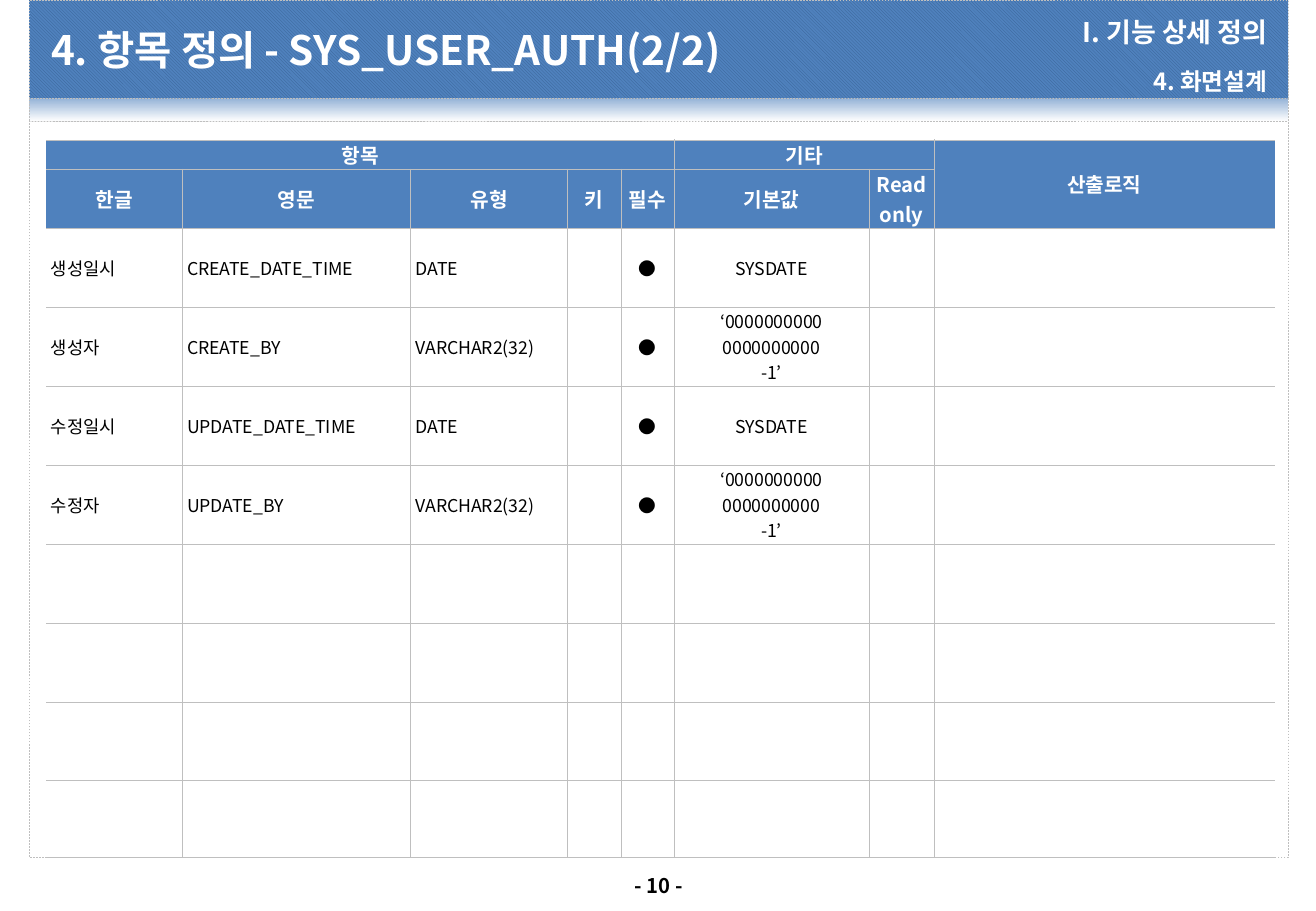
from dataclasses import dataclass

from lxml.etree import SubElement
from pptx import Presentation
from pptx.dml.color import RGBColor
from pptx.enum.dml import MSO_LINE, MSO_PATTERN
from pptx.enum.shapes import MSO_SHAPE
from pptx.enum.text import MSO_ANCHOR, PP_ALIGN
from pptx.oxml.ns import qn
from pptx.shapes.autoshape import Shape
from pptx.slide import Slide
from pptx.table import _Cell
from pptx.text.text import TextFrame
from pptx.util import Emu, Pt

EMU_PER_PX = 9144
FONT = "Noto Sans CJK KR"
WHITE = RGBColor(0xFF, 0xFF, 0xFF)
BLACK = RGBColor(0, 0, 0)
BLUE = RGBColor(0x4F, 0x81, 0xBD)
DARK_BLUE = RGBColor(0x37, 0x60, 0x92)
LIGHT_BLUE = RGBColor(0x95, 0xB3, 0xD7)
GRAY = RGBColor(0xBF, 0xBF, 0xBF)
BORDER_WIDTH = Pt(0.25)

COLUMN_WIDTHS = [112, 188, 129, 44, 44, 160, 54, 280]
ROW_HEIGHTS = [24, 49] + [65] * 6 + [64] * 2
HEADER_ROWS = 2
CENTERED_COLUMNS = (4, 5)
ZERO_ID = "‘0000000000\n0000000000\n-1’"
TABLE_ROWS = [
    ["항목", "", "", "", "", "기타", "", "산출로직"],
    ["한글", "영문", "유형", "키", "필수", "기본값", "Read only", ""],
    ["생성일시", "CREATE_DATE_TIME", "DATE", "", "●", "SYSDATE", "", ""],
    ["생성자", "CREATE_BY", "VARCHAR2(32)", "", "●", ZERO_ID, "", ""],
    ["수정일시", "UPDATE_DATE_TIME", "DATE", "", "●", "SYSDATE", "", ""],
    ["수정자", "UPDATE_BY", "VARCHAR2(32)", "", "●", ZERO_ID, "", ""],
] + [[""] * 8] * 4
MERGES = [((0, 0), (0, 4)), ((0, 5), (0, 6)), ((0, 7), (1, 7))]


@dataclass(frozen=True)
class Box:
    left: int
    top: int
    width: int
    height: int

    def emu(self) -> list[Emu]:
        return [px(value) for value in (self.left, self.top, self.width, self.height)]


@dataclass(frozen=True)
class TextStyle:
    size: float
    color: RGBColor
    bold: bool = True
    align: PP_ALIGN = PP_ALIGN.LEFT
    line_spacing: float | None = None


@dataclass(frozen=True)
class Label:
    text: str
    box: Box
    style: TextStyle
    wrap: bool = True


LABELS = [
    Label("- 10 -", Box(508, 714, 68, 30), TextStyle(12, BLACK, align=PP_ALIGN.CENTER), False),
    Label("I. 기능 상세 정의", Box(707, 8, 340, 37), TextStyle(16, WHITE, align=PP_ALIGN.RIGHT)),
    Label("4. 항목 정의 - SYS_USER_AUTH(2/2)", Box(38, 8, 669, 66), TextStyle(24, WHITE)),
    Label("4. 화면설계", Box(707, 47, 340, 27),
          TextStyle(14, WHITE, align=PP_ALIGN.RIGHT, line_spacing=1.5)),
]


def px(value: int) -> Emu:
    return Emu(value * EMU_PER_PX)


def write_text(frame: TextFrame, text: str, style: TextStyle) -> None:
    frame.text = text
    for paragraph in frame.paragraphs:
        paragraph.alignment = style.align
        if style.line_spacing:
            paragraph.line_spacing = style.line_spacing
        font = paragraph.font
        font.size = Pt(style.size)
        font.bold = style.bold
        font.color.rgb = style.color
        font.name = FONT
        properties = paragraph._p.get_or_add_pPr().get_or_add_defRPr()
        SubElement(properties, qn("a:ea")).set("typeface", FONT)


def add_panel(slide: Slide, box: Box) -> Shape:
    shape = slide.shapes.add_shape(MSO_SHAPE.RECTANGLE, *box.emu())
    shape.shadow.inherit = False
    shape.line.color.rgb = GRAY
    shape.line.width = BORDER_WIDTH
    shape.line.dash_style = MSO_LINE.DASH
    return shape


def add_panels(slide: Slide) -> None:
    fade = add_panel(slide, Box(24, 81, 1036, 19))
    fade.fill.gradient()
    fade.fill.gradient_angle = 270
    for stop, color, position in zip(fade.fill.gradient_stops, (LIGHT_BLUE, WHITE), (0, 1)):
        stop.color.rgb = color
        stop.position = position

    body = add_panel(slide, Box(24, 100, 1036, 606))
    body.fill.solid()
    body.fill.fore_color.rgb = WHITE

    banner = add_panel(slide, Box(24, 0, 1036, 81))
    banner.rotation = 180
    banner.fill.patterned()
    banner.fill.pattern = MSO_PATTERN.LIGHT_DOWNWARD_DIAGONAL
    banner.fill.fore_color.rgb = DARK_BLUE
    banner.fill.back_color.rgb = BLUE


def add_label(slide: Slide, label: Label) -> None:
    frame = slide.shapes.add_textbox(*label.box.emu()).text_frame
    frame.word_wrap = label.wrap
    frame.vertical_anchor = MSO_ANCHOR.MIDDLE
    frame.margin_left = frame.margin_right = px(4)
    frame.margin_top = frame.margin_bottom = px(4)
    write_text(frame, label.text, label.style)


def set_borders(cell: _Cell, hidden_side: str | None) -> None:
    properties = cell._tc.get_or_add_tcPr()
    for side in ("lnL", "lnR", "lnT", "lnB"):
        line = SubElement(properties, qn(f"a:{side}"), w=str(BORDER_WIDTH))
        if side == hidden_side:
            SubElement(line, qn("a:noFill"))
        else:
            fill = SubElement(line, qn("a:solidFill"))
            SubElement(fill, qn("a:srgbClr"), val=str(GRAY))


def add_item_table(slide: Slide) -> None:
    box = Box(38, 115, sum(COLUMN_WIDTHS), sum(ROW_HEIGHTS))
    table = slide.shapes.add_table(len(ROW_HEIGHTS), len(COLUMN_WIDTHS), *box.emu()).table
    table.first_row = table.horz_banding = False
    for column, width in zip(table.columns, COLUMN_WIDTHS):
        column.width = px(width)
    for row, height in zip(table.rows, ROW_HEIGHTS):
        row.height = px(height)

    hidden_sides = {0: "lnL", len(COLUMN_WIDTHS) - 1: "lnR"}
    for row_index, texts in enumerate(TABLE_ROWS):
        is_header = row_index < HEADER_ROWS
        for column_index, text in enumerate(texts):
            cell = table.cell(row_index, column_index)
            set_borders(cell, hidden_sides.get(column_index))
            cell.fill.solid()
            cell.fill.fore_color.rgb = BLUE if is_header else WHITE
            cell.vertical_anchor = MSO_ANCHOR.MIDDLE
            cell.margin_left = cell.margin_right = px(4)
            cell.margin_top = cell.margin_bottom = 0
            centered = is_header or column_index in CENTERED_COLUMNS
            align = PP_ALIGN.CENTER if centered else PP_ALIGN.LEFT
            style = (TextStyle(12, WHITE, True, align) if is_header
                     else TextStyle(10.5, BLACK, False, align))
            write_text(cell.text_frame, text, style)
    for first, last in MERGES:
        table.cell(*first).merge(table.cell(*last))


def main() -> None:
    presentation = Presentation()
    presentation.slide_width = px(1083)
    presentation.slide_height = px(750)
    slide = presentation.slides.add_slide(presentation.slide_layouts[6])
    add_panels(slide)
    for label in LABELS:
        add_label(slide, label)
    add_item_table(slide)
    presentation.save("out.pptx")


if __name__ == "__main__":
    main()
